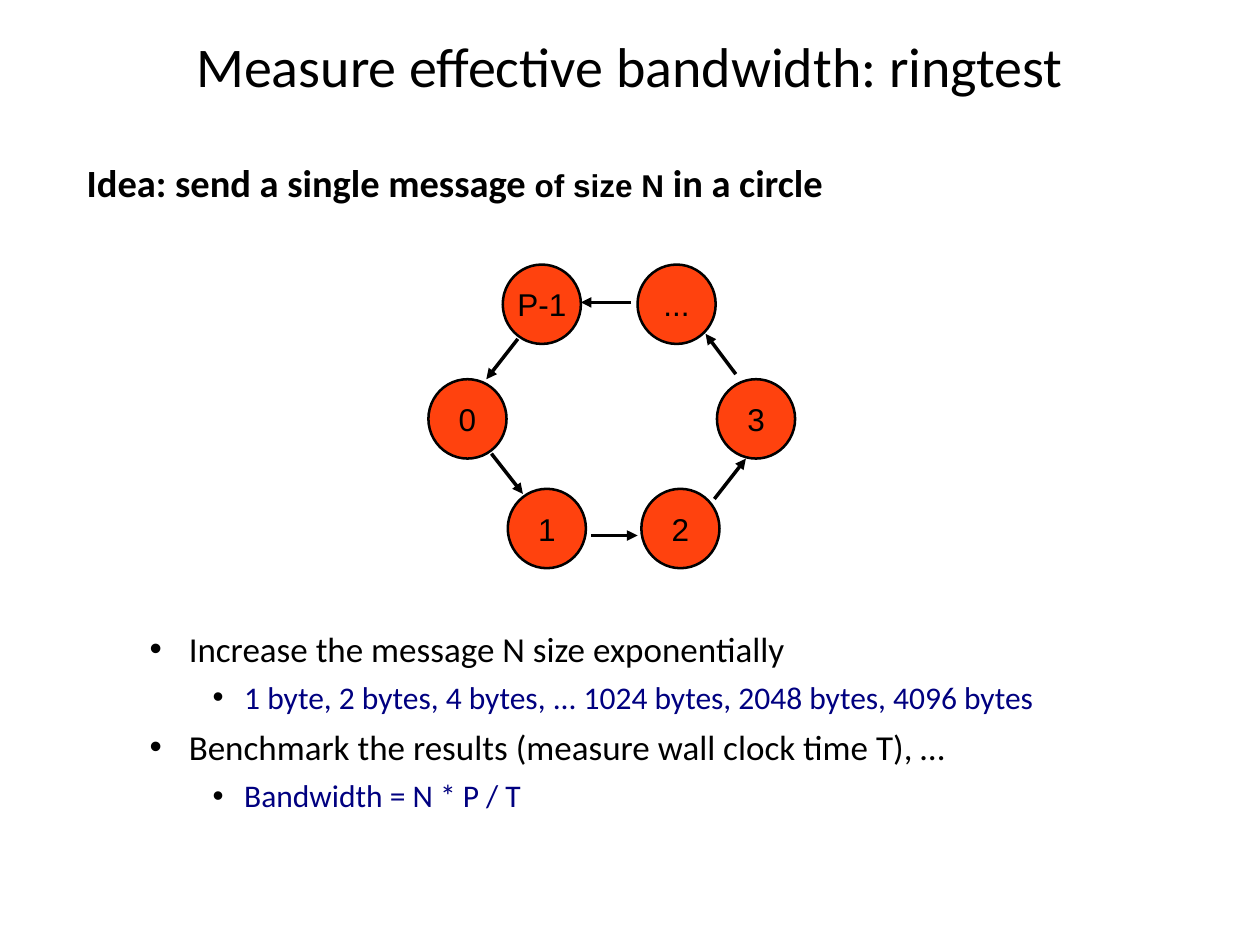
from lxml import etree
from pptx import Presentation
from pptx.dml.color import RGBColor
from pptx.enum.shapes import MSO_CONNECTOR as Connector, MSO_SHAPE as Preset
from pptx.enum.text import MSO_ANCHOR as Anchor, PP_ALIGN as Align
from pptx.oxml.ns import qn
from pptx.util import Inches, Pt


def color(hex_value):
    return RGBColor.from_string(hex_value)


class RingSlide:
    ink = "000000"
    accent = "000080"
    node_fill = "FF420E"
    heading_font = "Calibri"
    node_font = "Arial"
    node_size = (0.62, 0.63)
    levels = {1: (0.81, 0.31, 20, 5.5, ink), 2: (1.25, 0.25, 18, 5, accent)}

    def __init__(self, deck):
        self.slide = deck.slides.add_slide(deck.slide_layouts[6])

    def style(self, run, size, font=heading_font, hue=ink, bold=False):
        run.font.size = Pt(size)
        run.font.name = font
        run.font.bold = bold
        run.font.color.rgb = color(hue)

    def frame(self, left, top, width, height):
        box = self.slide.shapes.add_textbox(*map(Inches, (left, top, width, height)))
        box.text_frame.word_wrap = True
        return box.text_frame

    def title(self, wording):
        heading = self.frame(0.5, 0.17, 9, 0.7)
        heading.vertical_anchor = Anchor.MIDDLE
        heading.text = wording
        line = heading.paragraphs[0]
        line.alignment = Align.CENTER
        self.style(line.runs[0], 32)

    def idea(self, parts):
        line = self.frame(0.59, 1.21, 8.4, 0.5).paragraphs[0]
        for wording, size, font in parts:
            run = line.add_run()
            run.text = wording
            self.style(run, size, font, bold=True)

    def bullets(self, items):
        steps = self.frame(0.59, 4.93, 8.4, 1.84)
        for index, (level, wording) in enumerate(items):
            margin, hanging, size, gap, hue = self.levels[level]
            line = steps.add_paragraph() if index else steps.paragraphs[0]
            line.text = wording
            line.level = level
            line.space_before = Pt(gap if index else 0)
            props = line._p.get_or_add_pPr()
            props.set("marL", str(Inches(margin)))
            props.set("indent", str(-Inches(hanging)))
            bullet_color = etree.SubElement(props, qn("a:buClr"))
            etree.SubElement(bullet_color, qn("a:srgbClr"), val=self.ink)
            etree.SubElement(props, qn("a:buFont"), typeface="Arial")
            etree.SubElement(props, qn("a:buChar"), char="•")
            self.style(line.runs[0], size, hue=hue)

    def node(self, label, left, top):
        process = self.slide.shapes.add_shape(
            Preset.OVAL, *map(Inches, (left, top, *self.node_size)))
        process.shadow.inherit = False
        process.fill.solid()
        process.fill.fore_color.rgb = color(self.node_fill)
        process.line.color.rgb = color(self.ink)
        process.line.width = Pt(1.45)
        caption = process.text_frame
        caption.word_wrap = False
        caption.vertical_anchor = Anchor.MIDDLE
        caption.margin_left = caption.margin_right = Inches(0.11)
        caption.margin_top = caption.margin_bottom = Inches(0.06)
        caption.text = label
        caption.paragraphs[0].alignment = Align.CENTER
        self.style(caption.paragraphs[0].runs[0], 18, self.node_font)

    def arrow(self, start, end):
        message = self.slide.shapes.add_connector(
            Connector.STRAIGHT, *map(Inches, (*start, *end)))
        message.line.color.rgb = color(self.ink)
        message.line.width = Pt(0)
        etree.SubElement(message.line._get_or_add_ln(), qn("a:tailEnd"), type="triangle")
        etree.SubElement(message._element.spPr, qn("a:effectLst"))


def main():
    deck = Presentation()
    deck.slide_width, deck.slide_height = Inches(10), Inches(7.5)
    ring = RingSlide(deck)
    ring.title("Measure effective bandwidth: ringtest")
    ring.idea([
        ("Idea: send a single message", 22, "Calibri"),
        (" of size N", 18, "Arial"),
        (" in a circle", 22, "Calibri"),
    ])
    ring.bullets([
        (1, "Increase the message N size exponentially"),
        (2, "1 byte, 2 bytes, 4 bytes, ... 1024 bytes, 2048 bytes, 4096 bytes"),
        (1, "Benchmark the results (measure wall clock time T), …"),
        (2, "Bandwidth = N * P / T"),
    ])
    upper, middle, lower = 2.1, 3.01, 3.88
    for label, left, top in [
        ("0", 3.4, middle), ("1", 4.03, lower), ("2", 5.09, lower),
        ("3", 5.69, middle), ("P-1", 3.99, upper), ("...", 5.06, upper),
    ]:
        ring.node(label, left, top)
    for start, end in [
        ((3.9, 3.6), (4.15, 3.92)), ((4.11, 2.69), (3.86, 3.01)),
        ((4.69, 4.25), (5.06, 4.25)), ((5.01, 2.4), (4.61, 2.4)),
        ((5.84, 2.97), (5.6, 2.65)), ((5.67, 3.96), (5.92, 3.64)),
    ]:
        ring.arrow(start, end)
    deck.save("out.pptx")


if __name__ == "__main__":
    main()
